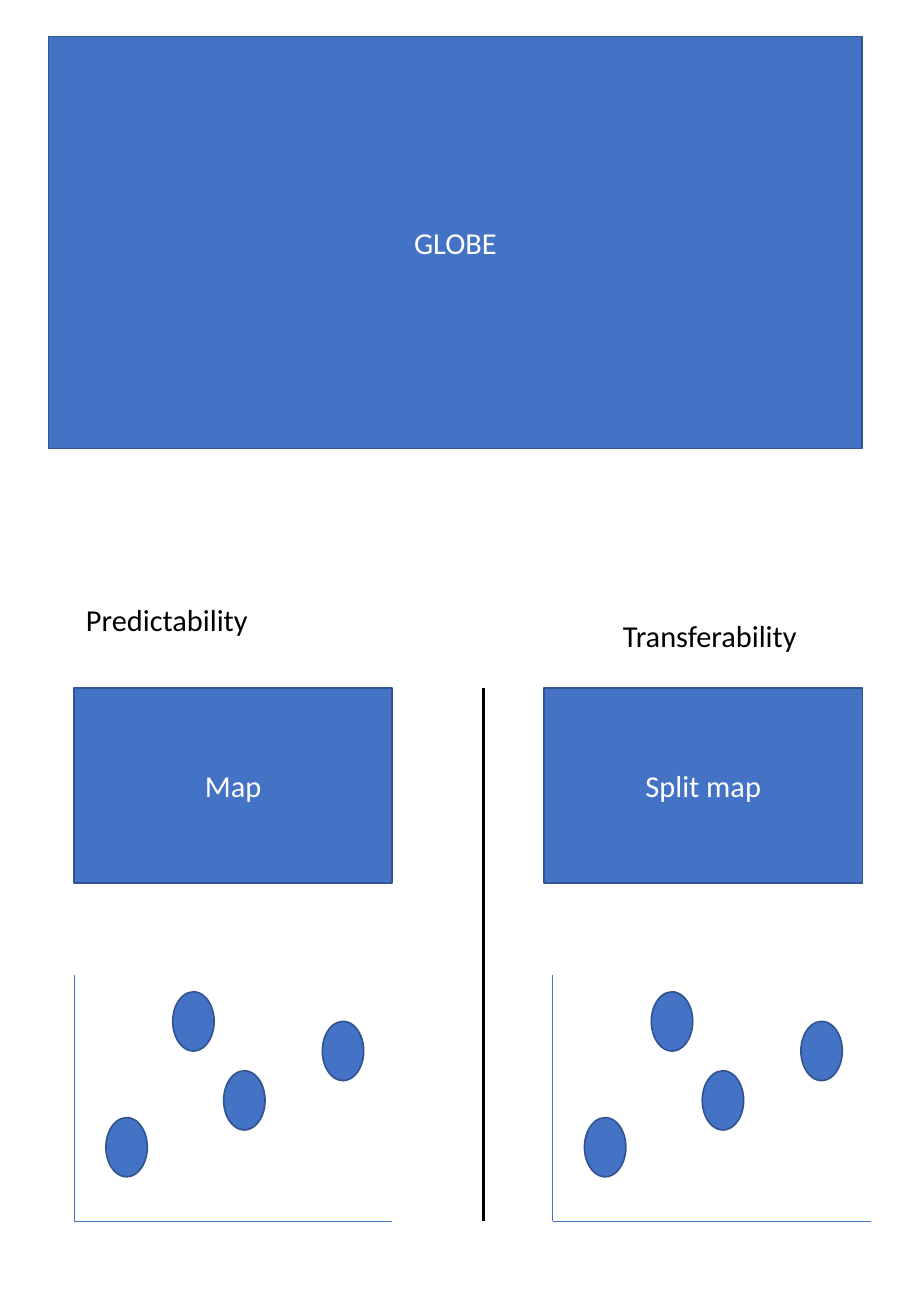
from collections import namedtuple

from lxml.etree import SubElement
from pptx import Presentation
from pptx.dml.color import RGBColor
from pptx.enum.shapes import MSO_CONNECTOR, MSO_SHAPE
from pptx.enum.text import MSO_ANCHOR, MSO_AUTO_SIZE, PP_ALIGN
from pptx.oxml.ns import qn
from pptx.util import Inches, Pt

Box = namedtuple("Box", "left top width height")

BLUE, DARK_BLUE, BLACK, WHITE = "4472C4", "325491", "000000", "FFFFFF"
PAGE_WIDTH, PAGE_HEIGHT = 7.5, 10.83

# Shared grid, in inches
LEFT_COLUMN, RIGHT_COLUMN, COLUMN_WIDTH = 0.61, 4.48, 2.62
MAP_TOP, MAP_HEIGHT = 5.66, 1.61
PLOT_TOP, PLOT_HEIGHT = 8.02, 2.03
PLOT_BOTTOM = PLOT_TOP + PLOT_HEIGHT
DIVIDER_X = 3.98

# Dot positions and size as shares of the plot
DOTS = [(0.1, 0.58), (0.47, 0.39), (0.31, 0.07), (0.78, 0.19)]
DOT_WIDTH, DOT_HEIGHT = 0.13, 0.24


def color(hex_string):
    return RGBColor.from_string(hex_string)


def write(frame, text, hex_string, align):
    para = frame.paragraphs[0]
    para.alignment = align
    span = para.add_run()
    span.text = text
    span.font.name = "Calibri"
    span.font.size = Pt(18)
    span.font.color.rgb = color(hex_string)


def add_figure(page, kind, box):
    figure = page.shapes.add_shape(kind, *map(Inches, box))
    figure.shadow.inherit = False
    figure.fill.solid()
    figure.fill.fore_color.rgb = color(BLUE)
    figure.line.color.rgb = color(DARK_BLUE)
    figure.line.width = Pt(1)
    return figure


def add_panel(page, box, text):
    frame = add_figure(page, MSO_SHAPE.RECTANGLE, box).text_frame
    frame.word_wrap = True
    frame.vertical_anchor = MSO_ANCHOR.MIDDLE
    write(frame, text, WHITE, PP_ALIGN.CENTER)


def add_heading(page, box, text):
    frame = page.shapes.add_textbox(*map(Inches, box)).text_frame
    frame.word_wrap = True
    frame.auto_size = MSO_AUTO_SIZE.SHAPE_TO_FIT_TEXT
    write(frame, text, BLACK, PP_ALIGN.LEFT)


def add_line(page, start, end, hex_string, weight):
    line = page.shapes.add_connector(
        MSO_CONNECTOR.STRAIGHT, *map(Inches, start + end))
    line.line.color.rgb = color(hex_string)
    line.line.width = Pt(weight)
    SubElement(line._element.spPr, qn("a:effectLst"))


def add_scatter(page, box):
    # Axes meet at the lower left corner
    bottom = box.top + box.height
    corner = (box.left, bottom)
    add_line(page, (box.left, box.top), corner, BLUE, 0.5)
    add_line(page, corner, (box.left + box.width, bottom), BLUE, 0.5)
    # Dots
    for across, down in DOTS:
        dot = Box(box.left + across * box.width, box.top + down * box.height,
                  DOT_WIDTH * box.width, DOT_HEIGHT * box.height)
        add_figure(page, MSO_SHAPE.OVAL, dot)


def add_column(page, left, plot_left, map_text, heading, heading_box):
    add_heading(page, heading_box, heading)
    add_panel(page, Box(left, MAP_TOP, COLUMN_WIDTH, MAP_HEIGHT), map_text)
    add_scatter(page, Box(plot_left, PLOT_TOP, COLUMN_WIDTH, PLOT_HEIGHT))


def main():
    deck = Presentation()
    deck.slide_width, deck.slide_height = Inches(PAGE_WIDTH), Inches(PAGE_HEIGHT)
    page = deck.slides.add_slide(deck.slide_layouts.get_by_name("Blank"))

    # Globe across the full width
    add_panel(page, Box(0.4, 0.3, 6.7, 3.39), "GLOBE")

    # Two columns on either side of a divider
    add_column(page, LEFT_COLUMN, LEFT_COLUMN, "Map",
               "Predictability", Box(LEFT_COLUMN, 4.9, 4.27, 0.4))
    add_line(page, (DIVIDER_X, MAP_TOP), (DIVIDER_X, PLOT_BOTTOM), BLACK, 1.5)
    add_column(page, RIGHT_COLUMN, 4.55, "Split map",
               "Transferability", Box(5.03, 5.03, 2.3, 0.4))

    deck.save("out.pptx")


if __name__ == "__main__":
    main()
